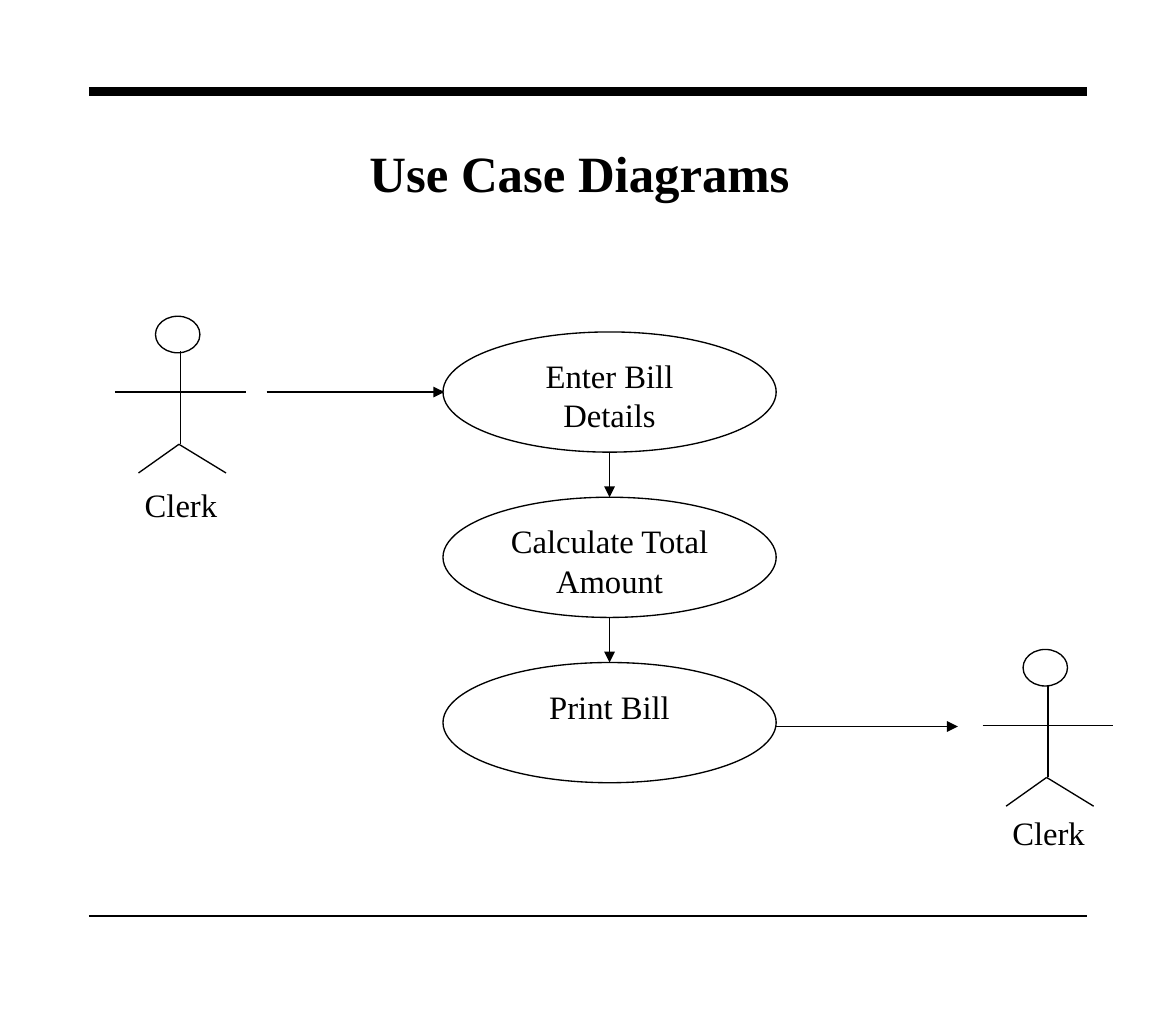
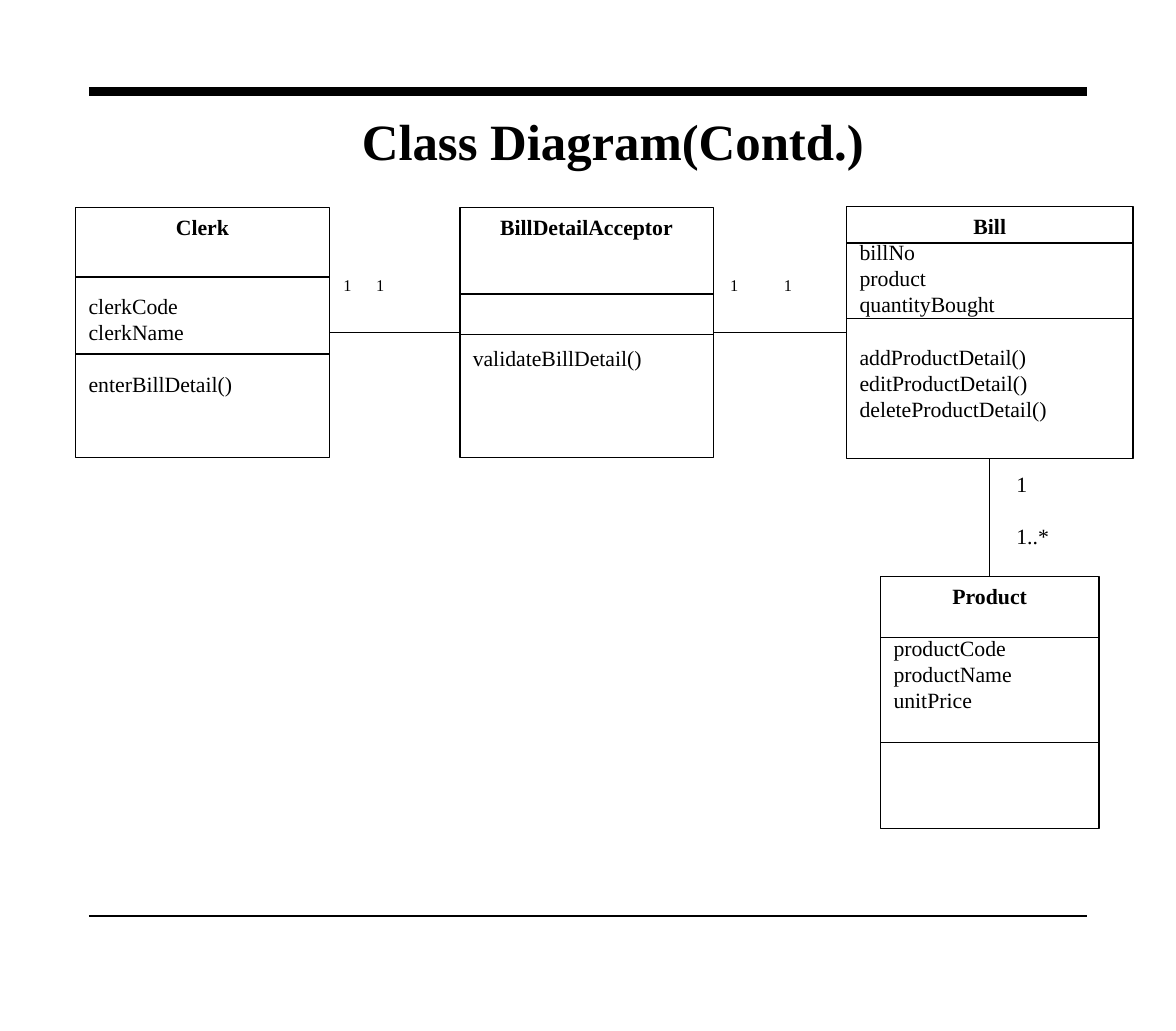
from pptx import Presentation
from pptx.util import Inches, Pt
from pptx.dml.color import RGBColor as Rgb
from pptx.enum.shapes import MSO_SHAPE as Shape, MSO_CONNECTOR as Link
from pptx.enum.text import PP_ALIGN as Align, MSO_ANCHOR as Anchor
from pptx.oxml.ns import qn
from lxml.etree import SubElement as Sub

HUES = {"ink": "000000", "paper": "FFFFFF"}
FACE = "Times New Roman"
ROW = 14.4
FRAME = {
    "word_wrap": True,
    "margin_left": Inches(0.1),
    "margin_right": Inches(0.1),
    "margin_top": Inches(0.05),
    "margin_bottom": Inches(0.05),
}


def hue(name):
    return Rgb.from_string(HUES[name])


def apply(item, form):
    for key, value in form.items():
        setattr(item, key, value)


def write(shape, rows, size, align=Align.CENTER, anchor=Anchor.TOP):
    frame = shape.text_frame
    apply(frame, {**FRAME, "vertical_anchor": anchor})
    for place, (text, gap, form) in enumerate(rows):
        para = frame.add_paragraph() if place else frame.paragraphs[0]
        apply(para, {"alignment": align, "space_before": Pt(gap * ROW)})
        run = para.add_run()
        run.text = text
        apply(run.font, {"name": FACE, "size": Pt(size), "bold": False, **form})
        run.font.color.rgb = hue("ink")
    return frame


def label(slide, box, texts, size, gap=0, **form):
    shape = slide.shapes.add_textbox(*map(Inches, box))
    rows = [(text, gap if place else 0, {}) for place, text in enumerate(texts)]
    return write(shape, rows, size, **form)


def solid(slide, kind, box):
    shape = slide.shapes.add_shape(kind, *map(Inches, box))
    shape.shadow.inherit = False
    shape.fill.solid()
    shape.fill.fore_color.rgb = hue("paper")
    shape.line.color.rgb = hue("ink")
    shape.line.width = Pt(0.75)
    return shape


def line(slide, start, end, width=0.75, arrow=False):
    link = slide.shapes.add_connector(Link.STRAIGHT, *map(Inches, (*start, *end)))
    link.line.color.rgb = hue("ink")
    link.line.width = Pt(width)
    Sub(link.element.spPr, qn("a:effectLst"))
    if arrow:
        Sub(link.line._get_or_add_ln(), qn("a:tailEnd"), type="triangle")
    return link


def join(slide, first, side, second, other):
    link = line(slide, (0, 0), (1, 1))
    link.begin_connect(first, side)
    link.end_connect(second, other)


def base(deck, title, box):
    slide = deck.slides.add_slide(deck.slide_layouts[6])
    for y, width in ((0.7, 4.5), (7.01, 1)):
        line(slide, (0.68, y), (8.32, y), width)
    shape = slide.shapes.add_textbox(*map(Inches, box))
    write(shape, [(title, 0, {"bold": True})], 28, anchor=Anchor.MIDDLE)
    return slide


def actor(slide, x, y, name, drop):
    solid(slide, Shape.FLOWCHART_CONNECTOR, (x + 0.31, y, 0.34, 0.28))
    limbs = (
        ((0.5, 0.27), (0.5, 0.98)),
        ((0.49, 0.98), (0.18, 1.2)),
        ((0.49, 0.98), (0.85, 1.2)),
        ((0, 0.58), (1, 0.58)),
    )
    for start, end in limbs:
        line(slide, *((x + dx, y + dy) for dx, dy in (start, end)))
    label(slide, (x - 0.04, y + drop, 1.09, 0.5), [name], 18)


def cases(slide, x, y, names):
    wide, high, step = 2.55, 0.92, 1.265
    for place, name in enumerate(names):
        top = y + place * step
        oval = solid(slide, Shape.OVAL, (x, top, wide, high))
        write(oval, [(name, 0, {})], 18)
    mid = x + wide / 2
    for place in range(len(names) - 1):
        top = y + place * step + high
        line(slide, (mid, top), (mid, top + step - high), arrow=True)


def entity(slide, box, name, rows, cuts):
    x, y, wide, high = box
    shape = solid(slide, Shape.RECTANGLE, box)
    head = (name, 0, {"bold": True})
    body = [(text, gap, {}) for text, gap in rows]
    frame = write(shape, [head, *body], 12, Align.LEFT)
    frame.paragraphs[0].alignment = Align.CENTER
    for cut in cuts:
        line(slide, (x, y + cut), (x + wide, y + cut))
    return shape


def ends(slide, box, tab):
    frame = label(slide, box, ["1\t1"], 9, align=Align.LEFT)
    props = frame.paragraphs[0]._p.get_or_add_pPr()
    stops = Sub(props, qn("a:tabLst"))
    Sub(stops, qn("a:tab"), pos=str(Inches(tab)), algn="l")


def usage(deck):
    slide = base(deck, "Use Case Diagrams", (0.42, 0.83, 8.03, 0.98))
    cases(slide, 3.39, 2.54, ("Enter Bill Details", "Calculate Total Amount", "Print Bill"))
    actor(slide, 0.88, 2.42, "Clerk", 1.24)
    actor(slide, 7.52, 4.97, "Clerk", 1.2)
    line(slide, (2.04, 3), (3.4, 3), arrow=True)
    line(slide, (5.93, 5.56), (7.33, 5.56), arrow=True)


def classes(deck):
    slide = base(deck, "Class Diagram(Contd.)", (2.29, 0.8, 4.8, 0.54))
    clerk = entity(
        slide, (0.58, 1.59, 1.94, 1.91), "Clerk",
        [("clerkCode", 2), ("clerkName", 0), ("enterBillDetail()", 1)],
        (0.53, 1.12))
    taker = entity(
        slide, (3.52, 1.59, 1.94, 1.91), "BillDetailAcceptor",
        [("validateBillDetail()", 4)], (0.66, 0.97))
    bill = entity(
        slide, (6.48, 1.58, 2.19, 1.93), "Bill",
        [("billNo", 0), ("product", 0), ("quantityBought", 0),
         ("addProductDetail()", 1), ("editProductDetail()", 0),
         ("deleteProductDetail()", 0)],
        (0.28, 0.86))
    goods = entity(
        slide, (6.74, 4.41, 1.67, 1.93), "Product",
        [("productCode", 1), ("productName", 0), ("unitPrice", 0)],
        (0.47, 1.27))
    join(slide, clerk, 3, taker, 1)
    join(slide, taker, 3, bill, 1)
    join(slide, bill, 2, goods, 0)
    ends(slide, (2.53, 2.06, 0.81, 0.31), 0.25)
    ends(slide, (5.49, 2.06, 0.98, 0.31), 0.41)
    label(slide, (7.68, 3.55, 0.81, 0.83), ["1", "1..*"], 12, gap=1, align=Align.LEFT)


def main():
    deck = Presentation()
    apply(deck, {"slide_width": Inches(9), "slide_height": Inches(7.89)})
    usage(deck)
    classes(deck)
    deck.save("out.pptx")


if __name__ == "__main__":
    main()
